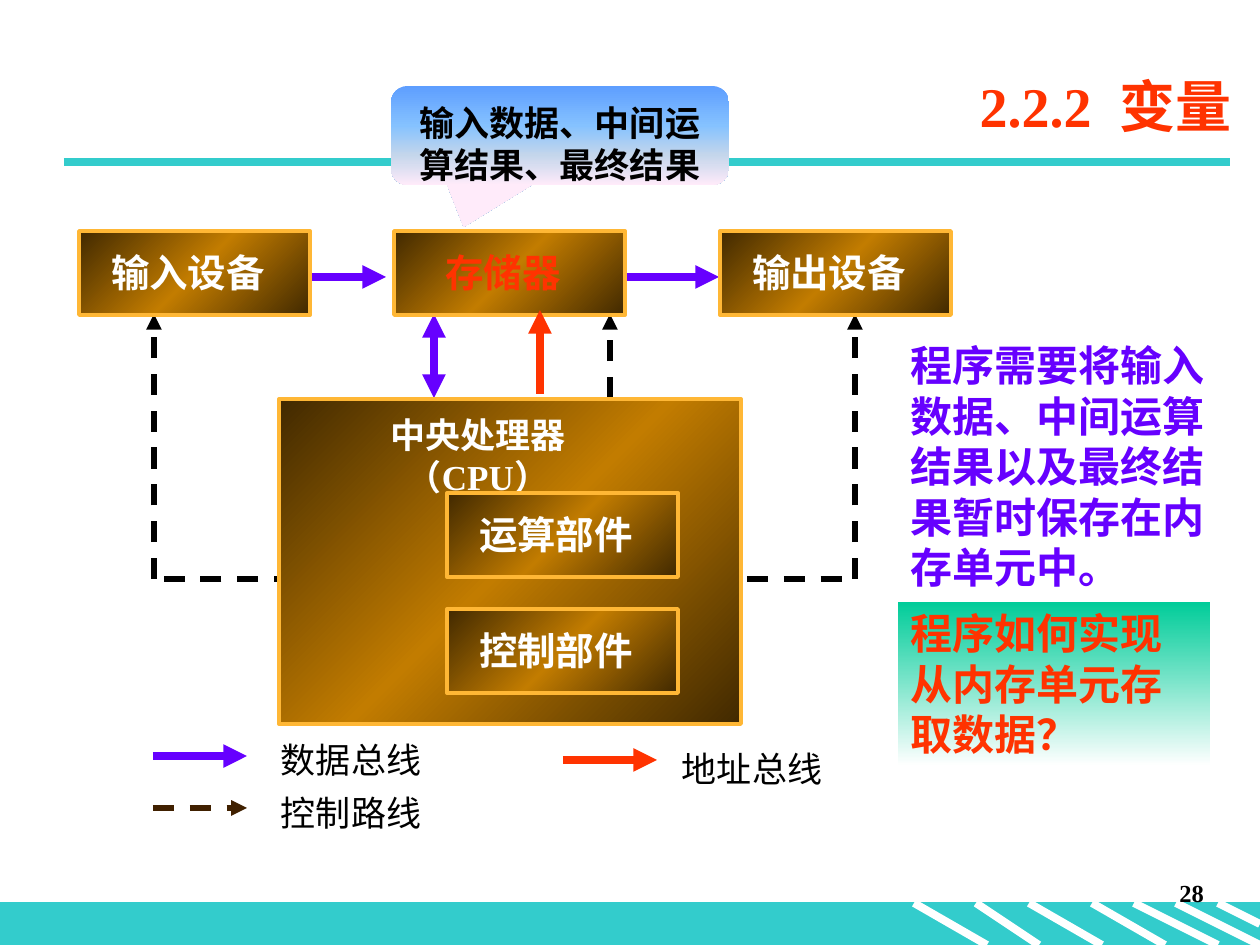
import pptx
import pptx.util
import pptx.dml.color
import pptx.enum.dml
import pptx.enum.shapes
import pptx.enum.text
import pptx.oxml
import pptx.oxml.ns
from lxml import etree

PX = 914400 / 126
SERIF, SANS = "Times New Roman", "Noto Sans CJK SC"
TEAL, VIOLET, RED = "33CCCC", "6600FF", "FF3300"
BLACK, WHITE, BROWN, AMBER = "000000", "FFFFFF", "402000", "FFB735"
BRONZE = [(0, "412900"), (50, "C27C00"), (100, "412900")]
SKY = [(0, "5E9EFF"), (40, "85C2FF"), (70, "C4D6EB"), (100, "FFEBFA")]
MINT = [(0, "00CC99"), (100, WHITE)]
RECT = pptx.enum.shapes.MSO_SHAPE.RECTANGLE
CALLOUT = pptx.enum.shapes.MSO_SHAPE.ROUNDED_RECTANGULAR_CALLOUT
ALIGN = pptx.enum.text.PP_ALIGN
ANCHOR = pptx.enum.text.MSO_ANCHOR
qn = pptx.oxml.ns.qn


def px(value):
    return pptx.util.Emu(round(value * PX))


def color(code):
    return pptx.dml.color.RGBColor.from_string(code)


def set_gradient(shape, stops, angle):
    """Replace the fill with a linear gradient, angle clockwise in degrees."""
    shape.fill.gradient()
    gradient = shape._element.spPr.find(qn("a:gradFill"))
    for child in list(gradient):
        gradient.remove(child)
    stop_list = etree.SubElement(gradient, qn("a:gsLst"))
    for percent, code in stops:
        stop = etree.SubElement(stop_list, qn("a:gs"), pos=str(percent * 1000))
        etree.SubElement(stop, qn("a:srgbClr"), val=code)
    etree.SubElement(gradient, qn("a:lin"), ang=str(angle * 60000), scaled="0")


class Page:
    """The current slide and the style of its elements."""

    def __init__(self, deck):
        self.page = deck.slides.add_slide(deck.slide_layouts[6])

    def fill_text(self, shape, text, size, code, font=SERIF, align=ALIGN.LEFT,
                  anchor=ANCHOR.TOP, inset=(13, 6, 13, 6)):
        frame = shape.text_frame
        frame.word_wrap = True
        frame.vertical_anchor = anchor
        (frame.margin_left, frame.margin_top,
         frame.margin_right, frame.margin_bottom) = map(px, inset)
        para = frame.paragraphs[0]
        para.text = text
        para.alignment = align
        para.font.size = pptx.util.Pt(size)
        para.font.bold = font == SERIF
        para.font.color.rgb = color(code)
        para.font.name = font
        defaults = para._p.pPr.find(qn("a:defRPr"))
        etree.SubElement(defaults, qn("a:ea"), typeface=SANS)

    def text(self, x, y, width, height, *words, **style):
        box = self.page.shapes.add_textbox(px(x), px(y), px(width), px(height))
        self.fill_text(box, *words, **style)

    def shape(self, x, y, width, height, fill, angle=90, line=None, weight=2.25, kind=RECT):
        """Add a shape; fill is one colour or a list of gradient stops."""
        shape = self.page.shapes.add_shape(kind, px(x), px(y), px(width), px(height))
        shape.shadow.inherit = False
        if isinstance(fill, str):
            shape.fill.solid()
            shape.fill.fore_color.rgb = color(fill)
        else:
            set_gradient(shape, fill, angle)
        if line:
            shape.line.color.rgb = color(line)
            shape.line.width = pptx.util.Pt(weight)
        else:
            shape.line.fill.background()
        return shape

    def bronze_box(self, x, y, width, height):
        self.shape(x, y, width, height, BRONZE, angle=45, line=AMBER)

    def unit(self, x, y, name, code=WHITE):
        """Add a bronze box with the name of a computer part."""
        self.bronze_box(x, y, 231, 84)
        self.text(x + 12, y + 12, 194, 59, name, 22, code, align=ALIGN.CENTER)

    def line(self, x1, y1, x2, y2, code, weight=4.5, dashed=False, ends=()):
        """Add a line; ends lists the arrowheads, headEnd before tailEnd."""
        line = self.page.shapes.add_connector(
            pptx.enum.shapes.MSO_CONNECTOR.STRAIGHT, px(x1), px(y1), px(x2), px(y2))
        line.line.color.rgb = color(code)
        line.line.width = pptx.util.Pt(weight)
        if dashed:
            line.line.dash_style = pptx.enum.dml.MSO_LINE.DASH
        properties = line._element.spPr
        for end in ends:
            etree.SubElement(properties.find(qn("a:ln")), qn(f"a:{end}"), type="triangle")
        etree.SubElement(properties, qn("a:effectLst"))

    def bus(self, x1, y1, x2, y2, code=VIOLET, ends=("tailEnd",)):
        self.line(x1, y1, x2, y2, code, ends=ends)

    def control(self, x1, y1, x2, y2, code=BLACK, ends=("tailEnd",)):
        self.line(x1, y1, x2, y2, code, weight=3, dashed=True, ends=ends)


def draw_frame(page):
    page.shape(0, 903, 1260, 42, TEAL, line=TEAL, weight=0.75)
    hatches = [(914, 73), (976, 63), (1029, 73), (1092, 73), (1134, 84), (1176, 84)]
    for x, run in hatches:
        page.line(x, 903, x + run, 945, WHITE)
    page.line(1218, 903, 1260, 924, WHITE)
    page.line(64, 162, 1230, 162, TEAL)
    page.text(955, 872, 262, 63, "28", 14, BLACK, align=ALIGN.RIGHT)
    page.text(174, 55, 1071, 100, "2.2.2  变量", 32, RED,
              align=ALIGN.RIGHT, anchor=ANCHOR.MIDDLE)


def draw_legend(page):
    page.bus(153, 756, 247, 756)
    page.control(153, 808, 247, 808, BROWN)
    page.bus(563, 760, 657, 760, RED)
    for x, y, name in [(268, 732, "数据总线"), (268, 785, "控制路线"), (669, 741, "地址总线")]:
        page.text(x, y, 378, 54, name, 20, BLACK, font=SANS)


def draw_computer(page):
    page.bus(310, 277, 386, 277)
    page.bus(622, 277, 719, 277)
    for inner, outer in [(295, 154), (747, 855)]:
        page.control(inner, 579, outer, 579, ends=())
        page.control(outer, 579, outer, 314)
    page.bus(434, 398, 434, 314, ends=("headEnd", "tailEnd"))
    page.control(610, 398, 610, 314)

    page.unit(79, 231, "输入设备")
    page.unit(720, 231, "输出设备")
    page.unit(394, 231, "存储器", RED)
    page.bronze_box(279, 399, 462, 325)
    page.text(301, 407, 354, 54, "中央处理器（CPU）", 20, WHITE,
              align=ALIGN.CENTER, inset=(50, 6, 50, 6))
    page.unit(447, 493, "运算部件")
    page.unit(447, 609, "控制部件")
    page.bus(540, 394, 540, 310, RED)


def draw_remarks(page):
    callout = page.shape(391, 86, 338, 99, SKY, kind=CALLOUT)
    for index, value in enumerate([-0.285, 0.925, 0.167]):
        callout.adjustments[index] = value
    page.fill_text(callout, "输入数据、中间运算结果、最终结果", 20, BLACK,
                   align=ALIGN.CENTER, inset=(13, 11, 13, 0))
    page.text(898, 334, 328, 265,
              "程序需要将输入数据、中间运算结果以及最终结果暂时保存在内存单元中。", 24, VIOLET)
    question = page.shape(898, 602, 312, 164, MINT)
    page.fill_text(question, "程序如何实现从内存单元存取数据？", 24, RED)


def main():
    deck = pptx.Presentation()
    deck.slide_width, deck.slide_height = px(1260), px(945)
    page = Page(deck)
    draw_frame(page)
    draw_legend(page)
    draw_computer(page)
    draw_remarks(page)
    deck.save("out.pptx")


if __name__ == "__main__":
    main()
